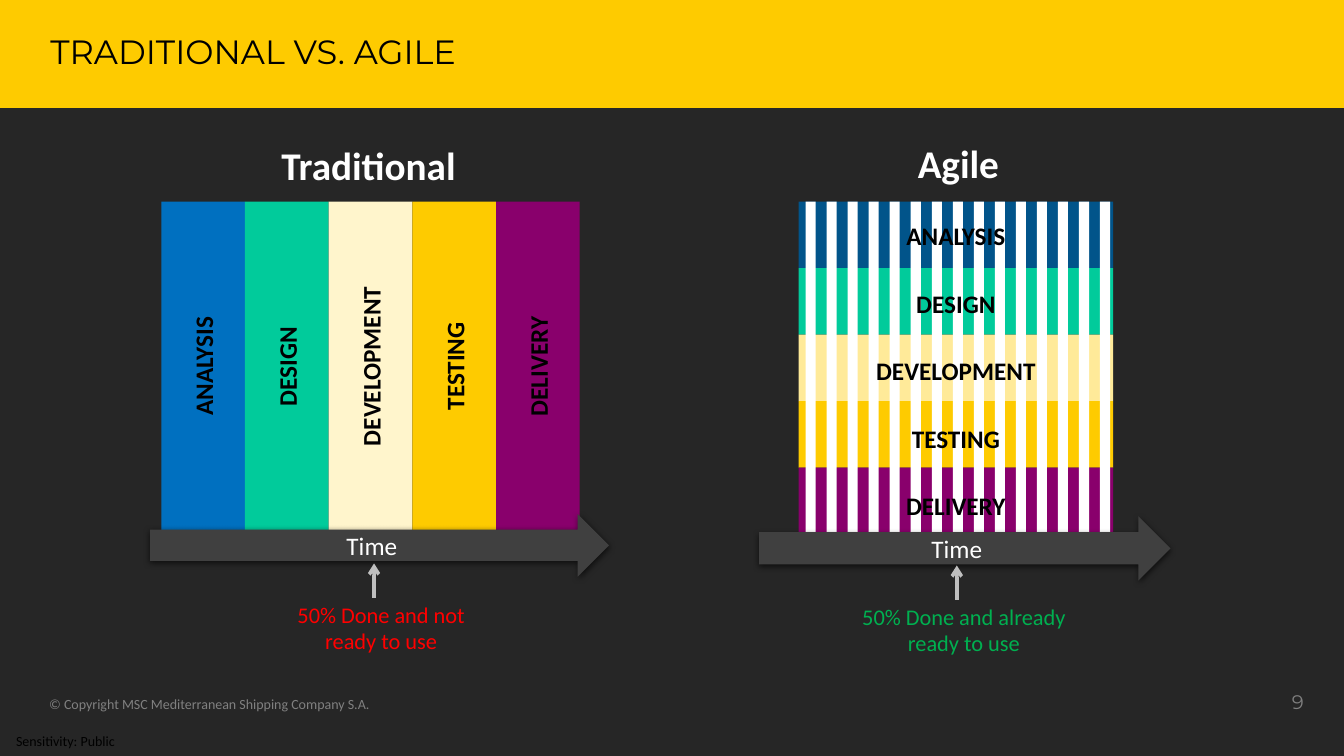
from dataclasses import dataclass

from lxml import etree
from pptx import Presentation
from pptx.dml.color import RGBColor
from pptx.enum.shapes import MSO_CONNECTOR as CONN, MSO_SHAPE as SHAPE
from pptx.enum.text import MSO_ANCHOR as ANCHOR, PP_ALIGN as ALIGN
from pptx.oxml import parse_xml
from pptx.oxml.ns import nsdecls, qn
from pptx.util import Inches, Pt

BLACK = RGBColor(0x00, 0x00, 0x00)
WHITE = RGBColor(0xFF, 0xFF, 0xFF)
DARK = RGBColor(0x26, 0x26, 0x26)
ARROW = RGBColor(0x40, 0x40, 0x40)
GRAY = RGBColor(0x80, 0x80, 0x80)
SILVER = RGBColor(0xBF, 0xBF, 0xBF)
YELLOW = RGBColor(0xFE, 0xCB, 0x00)
CREAM = RGBColor(0xFF, 0xF5, 0xCC)
SAND = RGBColor(0xFF, 0xEA, 0x99)
BLUE = RGBColor(0x00, 0x70, 0xC0)
NAVY = RGBColor(0x01, 0x54, 0x8A)
TEAL = RGBColor(0x01, 0xCB, 0x9B)
PURPLE = RGBColor(0x89, 0x00, 0x6C)
RED = RGBColor(0xFF, 0x00, 0x00)
GREEN = RGBColor(0x00, 0xB0, 0x50)

CHART_TOP, CHART_H = 2, 3.31
COLUMN_LEFT, COLUMN_W = 1.6, 0.83
BAND_LEFT, BAND_W, BAND_H = 7.92, 3.12, 0.66
STRIPE_LEFT, STRIPE_W, STRIPE_STEP, STRIPE_COUNT = 7.99, 0.1, 0.2086, 15
LABEL_W, LABEL_H, LABEL_STEP = 3.12, 0.4, 0.67


@dataclass(frozen=True)
class Box:
    x: float
    y: float
    w: float
    h: float

    def lengths(self) -> tuple:
        return tuple(Inches(v) for v in (self.x, self.y, self.w, self.h))


@dataclass(frozen=True)
class Phase:
    name: str
    column: RGBColor
    band: RGBColor


@dataclass(frozen=True)
class Method:
    name: str
    heading: Box
    time: Box
    marker_x: float
    marker_y: float
    note: str
    note_box: Box
    note_color: RGBColor


PHASES = [
    Phase("ANALYSIS", BLUE, NAVY),
    Phase("DESIGN", TEAL, TEAL),
    Phase("DEVELOPMENT", CREAM, SAND),
    Phase("TESTING", YELLOW, YELLOW),
    Phase("DELIVERY", PURPLE, PURPLE),
]

METHODS = [
    Method("Traditional", Box(2.15, 1.35, 3.01, 0.57), Box(1.49, 5.1, 4.55, 0.62),
           3.71, 5.93, "50% Done and not ready to use",
           Box(2.64, 5.91, 2.28, 0.64), RED),
    Method("Agile", Box(8, 1.33, 3.01, 0.57), Box(7.53, 5.12, 4.08, 0.64),
           9.49, 5.95, "50% Done and already ready to use",
           Box(8.42, 5.93, 2.28, 0.64), GREEN),
]


def write(sp, text: str, size: float, color: RGBColor, align=ALIGN.CENTER,
          bold: bool = False, font: str = "Calibri"):
    tf = sp.text_frame
    tf.word_wrap = True
    p = tf.paragraphs[0]
    p.alignment = align
    r = p.add_run()
    r.text = text
    for key, value in {"name": font, "size": Pt(size), "bold": bold}.items():
        setattr(r.font, key, value)
    r.font.color.rgb = color
    return tf


def add_text(s, box: Box, text: str, size: float, color: RGBColor,
             anchor=ANCHOR.TOP, inset: bool = True, rotation: float = 0, **style):
    sp = s.shapes.add_textbox(*box.lengths())
    sp.rotation = rotation
    tf = write(sp, text, size, color, **style)
    tf.vertical_anchor = anchor
    if not inset:
        for side in ("left", "top", "right", "bottom"):
            setattr(tf, f"margin_{side}", 0)
    return tf


def add_block(s, box: Box, fill: RGBColor, kind=SHAPE.RECTANGLE, rotation: float = 0):
    sp = s.shapes.add_shape(kind, *box.lengths())
    sp.shadow.inherit = False
    sp.fill.solid()
    sp.fill.fore_color.rgb = fill
    sp.line.fill.background()
    sp.rotation = rotation
    return sp


def upright(center_x: float, center_y: float, length: float, thickness: float) -> Box:
    return Box(center_x - length / 2, center_y - thickness / 2, length, thickness)


def add_time_arrow(s, box: Box) -> None:
    sp = add_block(s, box, ARROW, SHAPE.RIGHT_ARROW)
    write(sp, "Time", 18, WHITE).vertical_anchor = ANCHOR.MIDDLE
    effects = sp._element.spPr.find(qn("a:effectLst"))
    effects.append(parse_xml(
        f'<a:outerShdw {nsdecls("a")} blurRad="57150" dist="19050" dir="5400000" '
        'algn="ctr" rotWithShape="0"><a:srgbClr val="000000">'
        '<a:alpha val="63000"/></a:srgbClr></a:outerShdw>'))


def add_marker(s, x: float, y: float) -> None:
    line = s.shapes.add_connector(CONN.STRAIGHT, Inches(x), Inches(y),
                                  Inches(x), Inches(y - 0.34))
    line.line.color.rgb = SILVER
    line.line.width = Pt(2.5)
    etree.SubElement(line.line._get_or_add_ln(), qn("a:tailEnd"), type="arrow")
    etree.SubElement(line._element.spPr, qn("a:effectLst"))


def add_columns(s) -> None:
    centers = [COLUMN_LEFT + COLUMN_W * (i + 0.5) for i in range(len(PHASES))]
    middle = CHART_TOP + CHART_H / 2
    for x, phase in zip(centers, PHASES):
        add_block(s, upright(x, middle, CHART_H, COLUMN_W), phase.column, rotation=270)
    for x, phase in zip(centers, PHASES):
        add_text(s, upright(x, middle - 0.02, LABEL_W, LABEL_H), phase.name, 18, BLACK,
                 anchor=ANCHOR.MIDDLE, rotation=270, bold=True)


def add_bands(s) -> None:
    for i, phase in enumerate(PHASES):
        add_block(s, Box(BAND_LEFT, CHART_TOP + i * BAND_H, BAND_W, BAND_H), phase.band)
    for i in range(STRIPE_COUNT):
        add_block(s, Box(STRIPE_LEFT + i * STRIPE_STEP, CHART_TOP, STRIPE_W, CHART_H), WHITE)
    for i, phase in enumerate(PHASES):
        add_text(s, Box(BAND_LEFT, CHART_TOP + 0.14 + i * LABEL_STEP, LABEL_W, LABEL_H),
                 phase.name, 18, BLACK, bold=True)


def add_frame(s) -> None:
    add_block(s, Box(0, 0, 13.33, 1.07), YELLOW)
    add_text(s, Box(0, 7.21, 1.3, 0.29), "Sensitivity: Public", 10, BLACK,
             anchor=ANCHOR.MIDDLE, inset=False, align=ALIGN.LEFT).margin_left = Inches(0.16)
    title = add_text(s, Box(0.5, 0.04, 9.33, 0.99), "TRADITIONAL VS. AGILE", 24, BLACK,
                     anchor=ANCHOR.MIDDLE, inset=False, align=ALIGN.LEFT, font="Montserrat")
    title.paragraphs[0].line_spacing = 0.9
    add_text(s, Box(12.53, 6.8, 0.5, 0.33), "9", 14, GRAY, align=ALIGN.RIGHT,
             font="Montserrat")
    add_text(s, Box(0.39, 6.85, 4.03, 0.33),
             "© Copyright MSC Mediterranean Shipping Company S.A.", 10, GRAY, align=ALIGN.LEFT)


def main() -> None:
    prs = Presentation()
    prs.slide_width, prs.slide_height = Inches(13.33), Inches(7.5)
    s = prs.slides.add_slide(prs.slide_layouts[6])
    s.background.fill.solid()
    s.background.fill.fore_color.rgb = DARK
    add_frame(s)
    add_columns(s)
    add_bands(s)
    for m in METHODS:
        add_text(s, m.heading, m.name, 28, WHITE, bold=True)
        add_time_arrow(s, m.time)
        add_marker(s, m.marker_x, m.marker_y)
        add_text(s, m.note_box, m.note, 16, m.note_color)
    prs.save("out.pptx")


if __name__ == "__main__":
    main()
